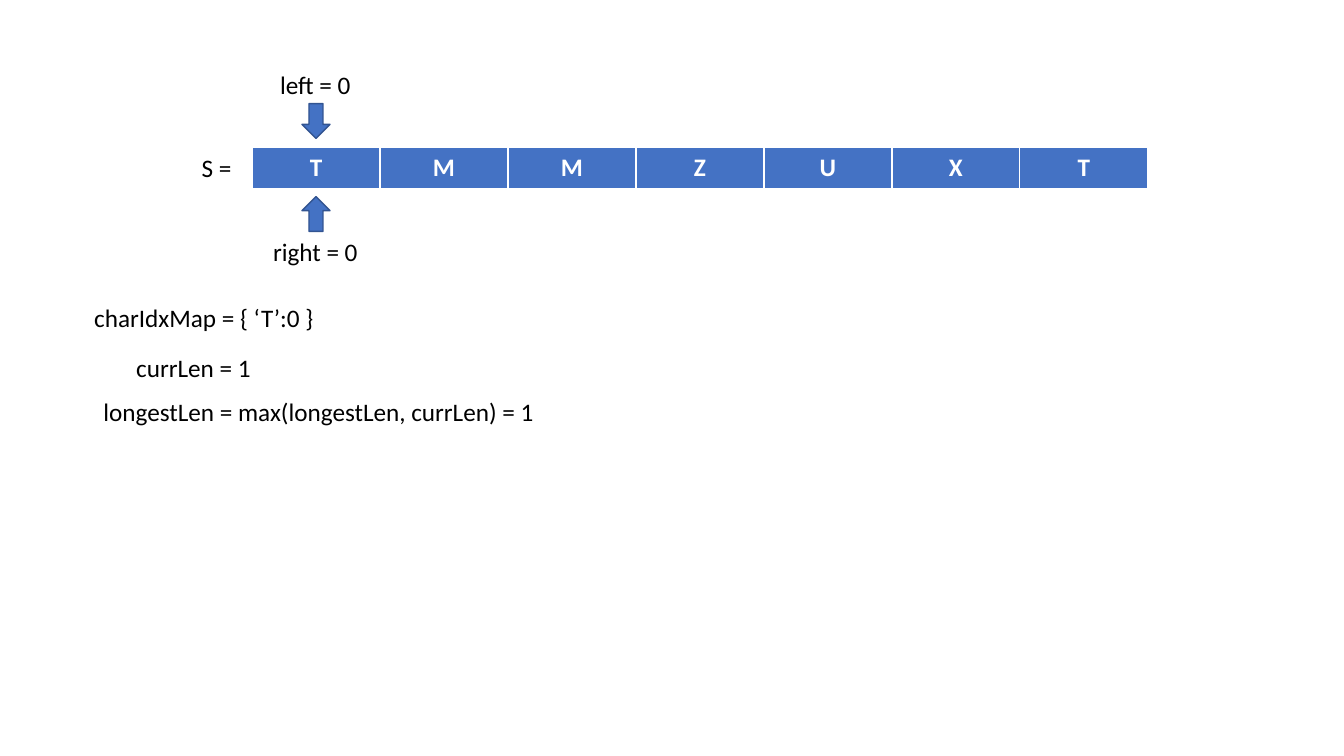
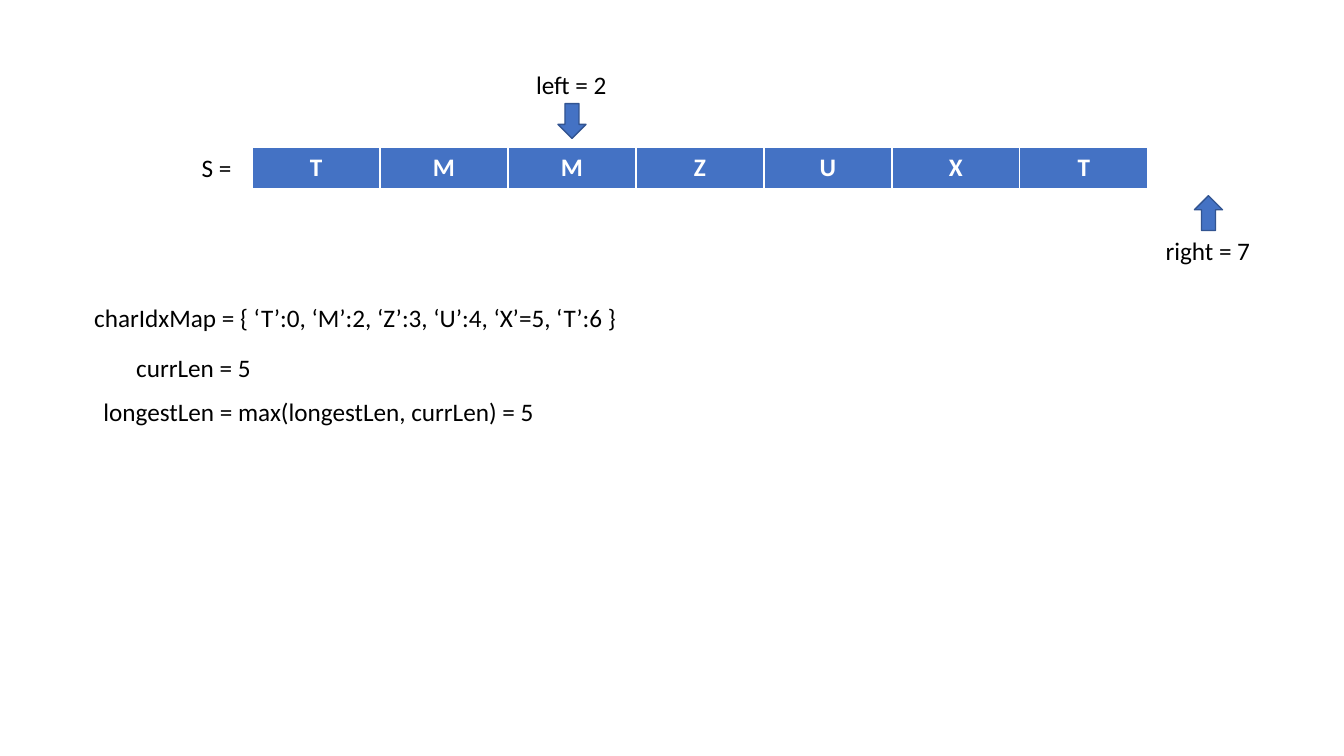
import pptx
import pptx.util
import pptx.dml.color
import pptx.enum.shapes
import pptx.enum.text

Pt = pptx.util.Pt
CENTER = pptx.enum.text.PP_ALIGN.CENTER
BLUE, DARK_BLUE, WHITE, BLACK = "4472C4", "325491", "FFFFFF", "000000"
LETTERS = "TMMZUXT"
TABLE_LEFT, TABLE_TOP, TABLE_WIDTH, ROW_HEIGHT = 180, 105.2, 640, 29.2
CELL = TABLE_WIDTH / len(LETTERS)
ARROW_WIDTH, ARROW_HEIGHT = 20, 24.8


def rgb(value):
    return pptx.dml.color.RGBColor.from_string(value)


def add_text(shapes, text, left, top, width, wrap=True):
    tf = shapes.add_textbox(Pt(left), Pt(top), Pt(width), Pt(29.1)).text_frame
    tf.word_wrap = wrap
    tf.auto_size = pptx.enum.text.MSO_AUTO_SIZE.SHAPE_TO_FIT_TEXT
    r = tf.paragraphs[0].add_run()
    r.text = text
    r.font.size, r.font.name = Pt(18), "Calibri"
    r.font.color.rgb = rgb(BLACK)


prs = pptx.Presentation()
prs.slide_width, prs.slide_height = Pt(960), Pt(540)

steps = [
    {"left": 0, "right": 0, "right_shift": (0, 0), "length": 1,
     "map": "‘T’:0", "map_width": 348, "length_width": 142},
    {"left": 2, "right": 7, "right_shift": (-2.5, -0.7), "length": 5,
     "map": "‘T’:0, ‘M’:2, ‘Z’:3, ‘U’:4, ‘X’=5, ‘T’:6",
     "map_width": 492, "length_width": 281},
]

for step in steps:
    s = prs.slides.add_slide(prs.slide_layouts[6])

    table = s.shapes.add_table(1, len(LETTERS), Pt(TABLE_LEFT), Pt(TABLE_TOP),
                               Pt(TABLE_WIDTH), Pt(ROW_HEIGHT)).table
    for column, letter in enumerate(LETTERS):
        table.columns[column].width = Pt(CELL)
        cell = table.cell(0, column)
        cell.fill.solid()
        cell.fill.fore_color.rgb = rgb(BLUE)
        p = cell.text_frame.paragraphs[0]
        p.alignment = CENTER
        r = p.add_run()
        r.text = letter
        r.font.size, r.font.name, r.font.bold = Pt(18), "Calibri", True
        r.font.color.rgb = rgb(WHITE)

    length = step["length"]
    add_text(s.shapes, "S = ", 137, 105.4, 65.5)
    add_text(s.shapes, f"charIdxMap = {{ {step['map']} }} ", 60.2, 212.7, step["map_width"])
    add_text(s.shapes, f"currLen = {length}", 90.2, 248.4, step["length_width"])
    add_text(s.shapes, f"longestLen = max(longestLen, currLen) = {length}", 66.8, 279.7, 356.4)

    pointers = [
        ("left", (0, 0), 74, 46.3, 65.5, 0),
        ("right", step["right_shift"], 140.5, 165, 75.5, 180),
    ]
    for name, (dx, dy), arrow_top, label_top, label_width, rotation in pointers:
        center = TABLE_LEFT + (step[name] + 0.5) * CELL + dx
        pointer = s.shapes.add_group_shape().shapes
        arrow = pointer.add_shape(
            pptx.enum.shapes.MSO_SHAPE.DOWN_ARROW, Pt(center - ARROW_WIDTH / 2),
            Pt(arrow_top + dy), Pt(ARROW_WIDTH), Pt(ARROW_HEIGHT))
        arrow.rotation = rotation
        arrow.shadow.inherit = False
        arrow.fill.solid()
        arrow.fill.fore_color.rgb = rgb(BLUE)
        arrow.line.color.rgb = rgb(DARK_BLUE)
        arrow.line.width = Pt(1)
        add_text(pointer, f"{name} = {step[name]}", center - label_width / 2,
                 label_top + dy, label_width, wrap=False)

prs.save("out.pptx")
